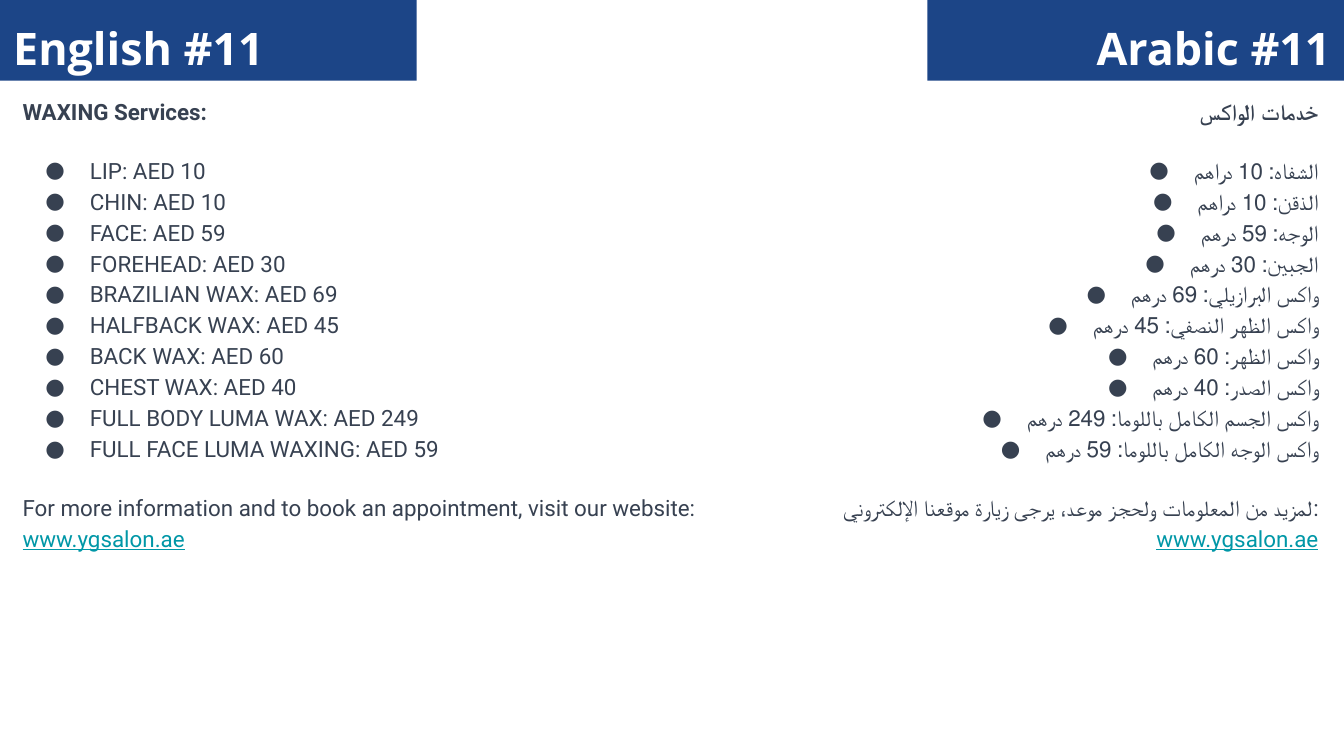
from lxml import etree
from pptx import Presentation
from pptx import util as u
from pptx.dml.color import RGBColor
from pptx.enum import shapes, text
from pptx.oxml import ns

NAVY = RGBColor(0x1C, 0x45, 0x87)
SLATE = RGBColor(0x37, 0x41, 0x51)
TEAL = RGBColor(0x00, 0x97, 0xA7)
WHITE = RGBColor(0xFF, 0xFF, 0xFF)
LEFT, RIGHT = text.PP_ALIGN.LEFT, text.PP_ALIGN.RIGHT
WEBSITE = "www.ygsalon.ae"

ENGLISH_PRICES = [
    "LIP: AED 10",
    "CHIN: AED 10",
    "FACE: AED 59",
    "FOREHEAD: AED 30",
    "BRAZILIAN WAX: AED 69",
    "HALFBACK WAX: AED 45",
    "BACK WAX: AED 60",
    "CHEST WAX: AED 40",
    "FULL BODY LUMA WAX: AED 249",
    "FULL FACE LUMA WAXING: AED 59",
]
ARABIC_PRICES = [
    "الشفاه: 10 دراهم",
    "الذقن: 10 دراهم",
    "الوجه: 59 درهم",
    "الجبين: 30 درهم",
    "واكس البرازيلي: 69 درهم",
    "واكس الظهر النصفي: 45 درهم",
    "واكس الظهر: 60 درهم",
    "واكس الصدر: 40 درهم",
    "واكس الجسم الكامل باللوما: 249 درهم",
    "واكس الوجه الكامل باللوما: 59 درهم",
]
COLUMNS = [
    (0.07, 5.34, 4.06, LEFT, "WAXING Services:", ENGLISH_PRICES,
     "For more information and to book an appointment, visit our website: "),
    (5.11, 4.8, 3.84, RIGHT, "خدمات الواكس", ARABIC_PRICES,
     "لمزيد من المعلومات ولحجز موعد، يرجى زيارة موقعنا الإلكتروني: "),
]
BANNERS = [(0, LEFT, "English #11"), (6.9, RIGHT, "Arabic #11")]


def add_bullet(para):
    props = para._p.get_or_add_pPr()
    props.set("marL", str(u.Inches(0.5)))
    props.set("indent", str(u.Inches(-0.33)))
    color = etree.SubElement(props, ns.qn("a:buClr"))
    etree.SubElement(color, ns.qn("a:srgbClr"), val=str(SLATE))
    etree.SubElement(props, ns.qn("a:buSzPts"), val="1200")
    etree.SubElement(props, ns.qn("a:buFont"), typeface="Roboto")
    etree.SubElement(props, ns.qn("a:buChar"), char="●")


deck = Presentation()
deck.slide_width = u.Inches(10)
deck.slide_height = deck.slide_width * 9 // 16
page = deck.slides.add_slide(deck.slide_layouts[6])

for left, width, height, align, heading, prices, invitation in COLUMNS:
    box = page.shapes.add_textbox(u.Inches(left), u.Inches(0.6), u.Inches(width), u.Inches(height))
    frame = box.text_frame
    frame.word_wrap = True
    frame.margin_left = frame.margin_right = u.Inches(0.1)
    frame.margin_top = frame.margin_bottom = u.Inches(0.1)
    lines = [heading, *prices, invitation]
    for index, line in enumerate(lines):
        para = frame.paragraphs[0] if index == 0 else frame.add_paragraph()
        para.add_run().text = line
        para.alignment = align
        para.line_spacing = 1.15
        para.space_before = u.Pt(15 if line in (prices[0], invitation) else 0)
        if line in prices:
            add_bullet(para)
        para.font.name = "Roboto"
        para.font.size = u.Pt(12)
        para.font.bold = line == heading
        para.font.color.rgb = SLATE
    span = para.add_run()
    span.text = WEBSITE
    span.font.underline = True
    span.font.color.rgb = TEAL

for left, align, label in BANNERS:
    banner = page.shapes.add_shape(
        shapes.MSO_SHAPE.RECTANGLE, u.Inches(left), 0, u.Inches(3.1), u.Inches(0.6))
    banner.shadow.inherit = False
    banner.fill.solid()
    banner.fill.fore_color.rgb = NAVY
    banner.line.fill.background()
    frame = banner.text_frame
    frame.word_wrap = True
    frame.vertical_anchor = text.MSO_ANCHOR.BOTTOM
    para = frame.paragraphs[0]
    para.text = label
    para.alignment = align
    para.font.name = "Open Sans"
    para.font.size = u.Pt(24)
    para.font.bold = True
    para.font.color.rgb = WHITE

deck.save("out.pptx")
